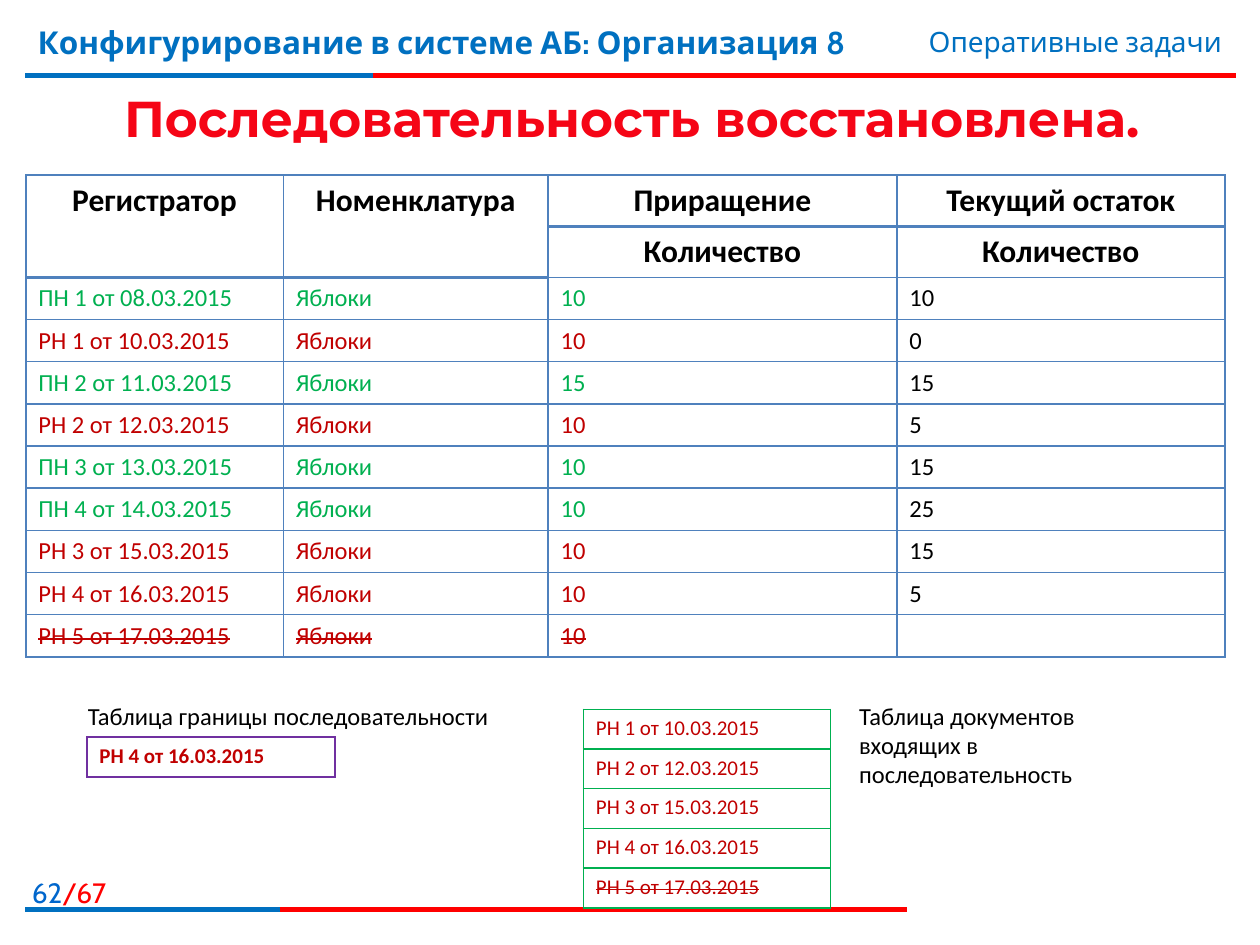
from lxml import etree
from pptx import Presentation, util as u
from pptx.dml.color import RGBColor
from pptx.enum import shapes, text
from pptx.oxml.ns import qn

RED, BLUE, DARK, GREEN, BLACK = "FF0000", "0070C0", "C00000", "00B050", "000000"
LEFT, MID, RIGHT = text.PP_ALIGN.LEFT, text.PP_ALIGN.CENTER, text.PP_ALIGN.RIGHT


def tint(code):
    return RGBColor.from_string(code)


class Deck:
    face = "Calibri"
    brand = "Cabin"

    def __init__(self, wide, high):
        self.file = Presentation()
        self.file.slide_width, self.file.slide_height = u.Cm(wide), u.Cm(high)
        self.slide = self.file.slides.add_slide(self.file.slide_layouts[6])

    def style(self, font, size, color, bold=False, face=None):
        font.name = face or self.face
        font.size = u.Pt(size)
        font.bold = bold
        font.color.rgb = tint(color)

    def rule(self, left, right, top, color):
        line = self.slide.shapes.add_connector(
            shapes.MSO_CONNECTOR.STRAIGHT,
            u.Cm(left), u.Cm(top), u.Cm(right), u.Cm(top))
        line.line.color.rgb = tint(color)
        line.line.width = u.Pt(3)
        etree.SubElement(line._element.spPr, qn("a:effectLst"))

    def label(self, box, parts, size, align=LEFT, bold=False, face=None):
        frame = self.slide.shapes.add_textbox(*map(u.Cm, box)).text_frame
        frame.word_wrap = True
        para = frame.paragraphs[0]
        para.alignment = align
        for words, color in parts:
            run = para.add_run()
            run.text = words
            if len(parts) > 1:
                run.font.color.rgb = tint(color)
        self.style(para.font, size, parts[0][1], bold, face)
        return frame

    def entry(self, cell, words, size, color, bold=False, align=LEFT, strike=False):
        para = cell.text_frame.paragraphs[0]
        para.alignment = align
        self.style(para.font, size, color, bold)
        if not words:
            cell.margin_top = cell.margin_bottom = 0
            return
        run = para.add_run()
        run.text = words
        if strike:
            run._r.get_or_add_rPr().set("strike", "sngStrike")

    def edge(self, cell, color, top, bottom):
        props = cell._tc.get_or_add_tcPr()
        for side, width in zip("LRTB", (1, 1, top, bottom)):
            line = etree.SubElement(props, qn("a:ln" + side), w=str(u.Pt(width)))
            fill = etree.SubElement(line, qn("a:solidFill"))
            etree.SubElement(fill, qn("a:srgbClr"), val=color)
        cell.fill.background()

    def table(self, left, top, cols, rows, color, thick=()):
        grid = self.slide.shapes.add_table(
            len(rows), len(cols), u.Cm(left), u.Cm(top),
            u.Cm(sum(cols)), u.Cm(sum(rows))).table
        grid.first_row = grid.horz_banding = False
        for col, width in zip(grid.columns, cols):
            col.width = u.Cm(width)
        for row, (line, height) in enumerate(zip(grid.rows, rows)):
            line.height = u.Cm(height)
            for col, cell in enumerate(line.cells):
                self.edge(cell, color, 2 if (row - 1, col) in thick else 1,
                          2 if (row, col) in thick else 1)
        return grid


def frame(deck):
    for top, split, end in ((1.52, 7.52, 24.92), (18.34, 5.64, 18.29)):
        deck.rule(0.51, end, top, RED)
        deck.rule(0.51, split, top, BLUE)
    deck.label((-0.25, 17.53, 2.64, 0.81), [("62", "0066CC"), ("/67", RED)],
               16, RIGHT, face=deck.brand)
    deck.label((0.51, 0.33, 18.8, 1.57),
               [("Конфигурирование в системе АБ: Организация 8", BLUE)],
               18, bold=True, face=deck.brand)
    deck.label((15.09, 0.38, 9.8, 0.94), [("Оперативные задачи", BLUE)],
               16, RIGHT, face=deck.brand)
    title = deck.label((0.53, 1.6, 24.41, 1.52),
                       [("Последовательность восстановлена.", "F50516")],
                       28.8, MID, True, "Montserrat")
    title.vertical_anchor = text.MSO_ANCHOR.MIDDLE


def ledger(deck):
    heads = (("Регистратор", "Номенклатура", "Приращение", "Текущий остаток"),
             ("", "", "Количество", "Количество"))
    docs = (("ПН 1 от 08.03.2015", "10", "10"), ("РН 1 от 10.03.2015", "10", "0"),
            ("ПН 2 от 11.03.2015", "15", "15"), ("РН 2 от 12.03.2015", "10", "5"),
            ("ПН 3 от 13.03.2015", "10", "15"), ("ПН 4 от 14.03.2015", "10", "25"),
            ("РН 3 от 15.03.2015", "10", "15"), ("РН 4 от 16.03.2015", "10", "5"),
            ("РН 5 от 17.03.2015", "10", ""))
    thick = {(0, 0), (0, 1), (0, 2), (0, 3), (1, 0), (1, 1)}
    grid = deck.table(0.52, 3.53, (5.19, 5.34, 7.03, 6.61),
                      [1.03] * 2 + [0.85] * len(docs), "4F81BD", thick)
    for col in (0, 1):
        grid.cell(0, col).merge(grid.cell(1, col))
    for row, names in enumerate(heads):
        for col, name in enumerate(names):
            if name:
                deck.entry(grid.cell(row, col), name, 18, BLACK, True, MID)
    for row, (doc, count, rest) in enumerate(docs, len(heads)):
        color = GREEN if doc.startswith("П") else DARK
        for col, words in enumerate((doc, "Яблоки", count)):
            deck.entry(grid.cell(row, col), words, 14, color, strike=not rest)
        deck.entry(grid.cell(row, 3), rest, 14, BLACK)


def queue(deck):
    limit = deck.table(1.75, 14.86, [5], [0.8], "7030A0")
    deck.entry(limit.cell(0, 0), "РН 4 от 16.03.2015", 12, DARK, True)
    deck.label((1.52, 14, 8.79, 0.86),
               [("Таблица границы последовательности", BLACK)], 14)
    deck.label((17.07, 14, 5.6, 2.06),
               [("Таблица документов входящих в последовательность", BLACK)], 14)
    days = (10, 12, 15, 16, 17)
    grid = deck.table(11.76, 14.3, [4.98], [0.8] * len(days), GREEN)
    for row, day in enumerate(days):
        deck.entry(grid.cell(row, 0), f"РН {row + 1} от {day}.03.2015",
                   12, DARK, strike=day == days[-1])


def main():
    deck = Deck(25.4, 19.05)
    frame(deck)
    ledger(deck)
    queue(deck)
    deck.file.save("out.pptx")


if __name__ == "__main__":
    main()
